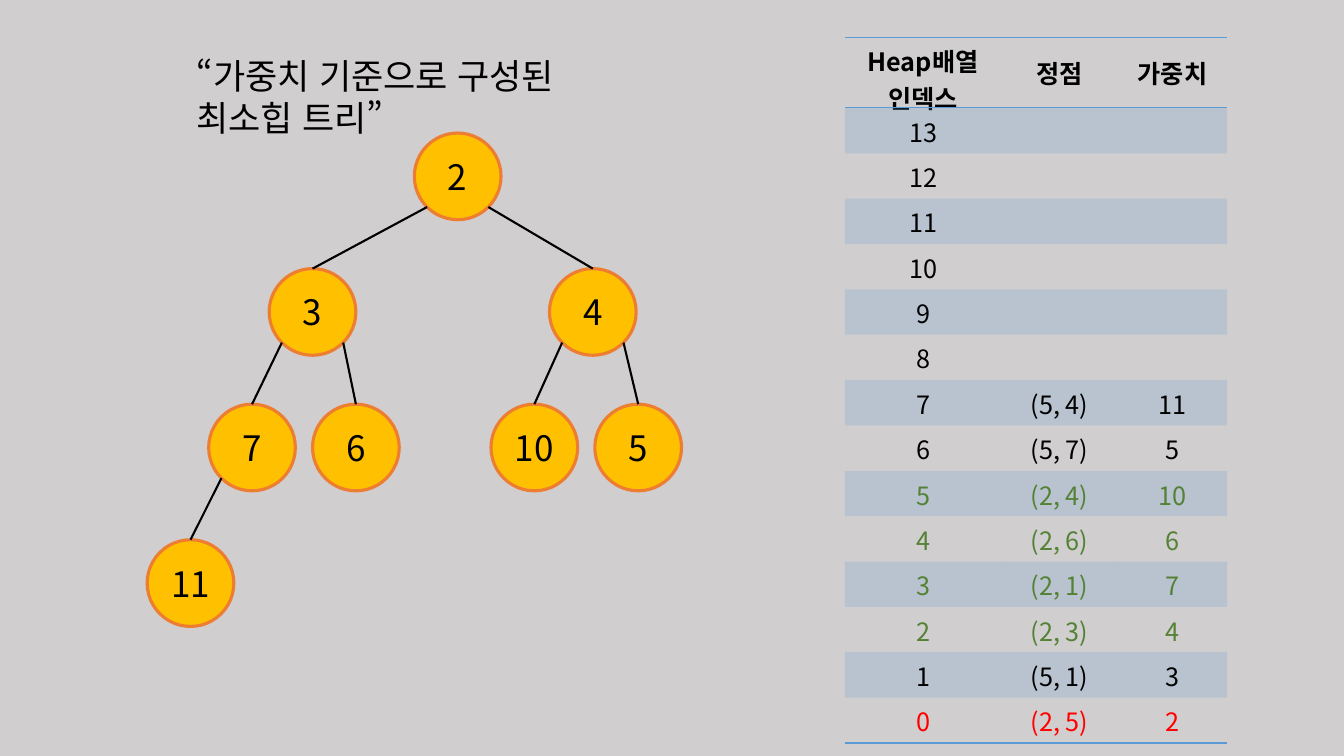
from math import sqrt
from lxml.etree import SubElement
from pptx import Presentation
from pptx.dml.color import RGBColor
from pptx.enum.lang import MSO_LANGUAGE_ID as Lang
from pptx.enum.shapes import MSO_CONNECTOR as Link, MSO_SHAPE as Shape
from pptx.enum.text import MSO_ANCHOR as Anchor, PP_ALIGN as Align
from pptx.oxml.ns import qn
from pptx.util import Inches, Pt

BACK = RGBColor(0xD0, 0xCE, 0xCE)
BLACK = RGBColor(0, 0, 0)
GOLD = RGBColor(0xFF, 0xC0, 0x00)
ORANGE = RGBColor(0xED, 0x7D, 0x31)
BLUE = RGBColor(0x5B, 0x9B, 0xD5)
GREEN = RGBColor(0x54, 0x82, 0x35)
RED = RGBColor(0xFF, 0, 0)
FACE = "Noto Sans CJK KR"

TITLE = "“가중치 기준으로 구성된 최소힙 트리”"
HEAD = ("Heap배열\n인덱스", "정점", "가중치")
# Heap order: vertex pair, weight, colour in the table
HEAP = [
    ("(2, 5)", 2, RED),
    ("(5, 1)", 3, BLACK),
    ("(2, 3)", 4, GREEN),
    ("(2, 1)", 7, GREEN),
    ("(2, 6)", 6, GREEN),
    ("(2, 4)", 10, GREEN),
    ("(5, 7)", 5, BLACK),
    ("(5, 4)", 11, BLACK),
]
SLOTS = 14

# Tree grid: centre of each node, level by level
MID_X = (4.54, 3.1, 5.88, 2.5, 3.53, 5.3, 6.33, 1.89)
TOP_Y, STEP_Y = 1.75, 1.345
SIZE = 0.86

COLS = (1.55, 1.16, 1.08)
HEAD_H, ROW_H = 0.66, 0.45


def write(para, text, size, color=BLACK, bold=False):
    run = para.add_run()
    run.text = text
    font = run.font
    font.size, font.bold, font.name = Pt(size), bold, FACE
    font.color.rgb = color
    font.language_id = Lang.KOREAN
    SubElement(font._element, qn("a:ea")).set("typeface", FACE)


def center(i):
    level = (i + 1).bit_length() - 1
    return MID_X[i], TOP_Y + level * STEP_Y


def add_edge(shapes, i):
    """Join node i's top to the lower corner of its parent."""
    x, y = center(i)
    px, py = center((i - 1) // 2)
    reach = SIZE / 2 / sqrt(2)
    side = -1 if i % 2 else 1
    ends = (px + side * reach, py + reach, x, y - SIZE / 2)
    edge = shapes.add_connector(Link.STRAIGHT, *map(Inches, ends))
    edge.line.color.rgb = BLACK
    edge.line.width = Pt(1.5)
    SubElement(edge._element.spPr, qn("a:effectLst"))


def add_node(shapes, i):
    x, y = center(i)
    box = (x - SIZE / 2, y - SIZE / 2, SIZE, SIZE)
    node = shapes.add_shape(Shape.OVAL, *map(Inches, box))
    node.shadow.inherit = False
    node.fill.solid()
    node.fill.fore_color.rgb = GOLD
    node.line.color.rgb = ORANGE
    node.line.width = Pt(2.25)
    frame = node.text_frame
    frame.vertical_anchor = Anchor.MIDDLE
    frame.word_wrap = False
    para = frame.paragraphs[0]
    para.alignment = Align.CENTER
    write(para, str(HEAP[i][1]), 25)


def add_rule(cell, tag):
    props = cell._tc.get_or_add_tcPr()
    rule = SubElement(props, qn(tag), w=str(Pt(1)))
    fill = SubElement(rule, qn("a:solidFill"))
    SubElement(fill, qn("a:srgbClr"), val=str(BLUE))


def fill_cell(cell, text, color, bold, tint):
    cell.vertical_anchor = Anchor.MIDDLE
    frame = cell.text_frame
    for n, line in enumerate(text.split("\n")):
        para = frame.add_paragraph() if n else frame.paragraphs[0]
        para.alignment = Align.CENTER
        if line:
            write(para, line, 18, color, bold)
    if tint:
        cell.fill.solid()
        cell.fill.fore_color.rgb = BLUE
        shade = cell._tc.tcPr.find(".//" + qn("a:srgbClr"))
        SubElement(shade, qn("a:alpha"), val="20000")
    else:
        cell.fill.background()


def add_heap(shapes):
    rows = [(HEAD, BLACK)]
    for i in reversed(range(SLOTS)):
        pair, weight, color = HEAP[i] if i < len(HEAP) else ("", "", BLACK)
        rows.append(((str(i), pair, str(weight)), color))
    box = (8.38, 0.37, sum(COLS), HEAD_H + SLOTS * ROW_H)
    frame = shapes.add_table(len(rows), len(COLS), *map(Inches, box))
    table = frame.table
    table.horz_banding = False
    style = frame._element.find(".//" + qn("a:tableStyleId"))
    style.text = "{2D5ABB26-0587-4C30-8999-92F81FD0307C}"
    for col, width in zip(table.columns, COLS):
        col.width = Inches(width)
    for r, (texts, color) in enumerate(rows):
        table.rows[r].height = Inches(ROW_H if r else HEAD_H)
        for c, text in enumerate(texts):
            cell = table.cell(r, c)
            if r == 0:
                add_rule(cell, "a:lnT")
            if r in (0, SLOTS):
                add_rule(cell, "a:lnB")
            fill_cell(cell, text, color, r == 0, r % 2 == 1)


def main():
    deck = Presentation()
    deck.slide_width, deck.slide_height = Inches(13.33), Inches(7.5)
    slide = deck.slides.add_slide(deck.slide_layouts[6])
    slide.background.fill.solid()
    slide.background.fill.fore_color.rgb = BACK
    shapes = slide.shapes

    title = shapes.add_textbox(*map(Inches, (1.85, 0.49, 4.76, 0.52)))
    title.text_frame.word_wrap = True
    write(title.text_frame.paragraphs[0], TITLE, 25)

    for i in range(len(HEAP)):
        add_node(shapes, i)
        if i:
            add_edge(shapes, i)
    add_heap(shapes)
    deck.save("out.pptx")


if __name__ == "__main__":
    main()
